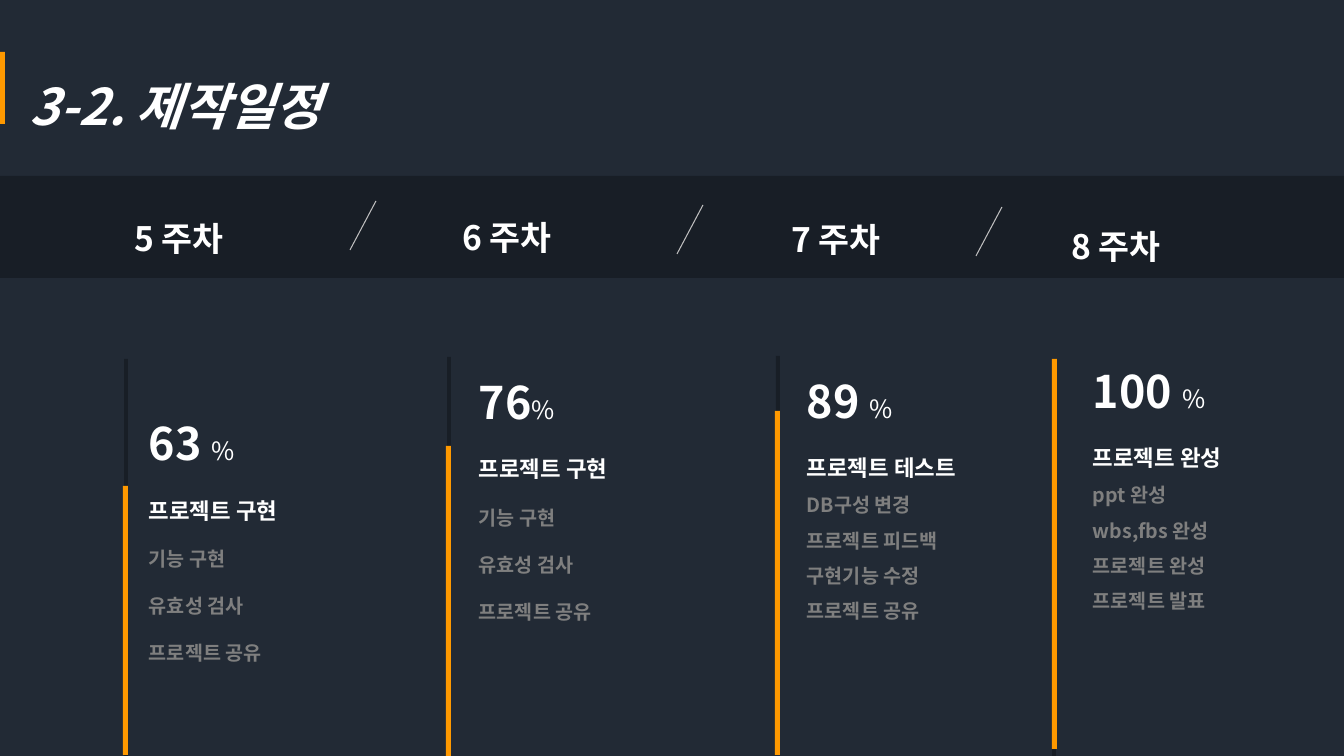
import pptx
import pptx.dml.color
import pptx.enum.shapes
import pptx.enum.text
import pptx.oxml
import pptx.oxml.ns
import pptx.util

PX = 914400 / 100.8
FONT = "Noto Sans CJK KR"
BACK, DARK, ORANGE = "222A35", "181E26", "FF9900"
WHITE, GRAY, SILVER = "FFFFFF", "7F7F7F", "BFBFBF"
TRACK_H, TRACK_W, BAR_W = 397, 4, 5
TEXT_W, TEXT_H, HEAD_H = 222, 154, 72
SLASH_DX, SLASH_DY = -26, 49

# Character formats
TITLE = {"size": 36, "bold": True, "italic": True, "color": WHITE}
HEAD = {"size": 24, "bold": True, "color": WHITE}
NUMBER = {"size": 32, "bold": True, "color": WHITE}
PERCENT = {"size": 18, "bold": False, "color": WHITE}
STAGE = {"size": 16, "bold": True, "color": WHITE}
TASK = {"size": 14, "bold": True, "color": GRAY}

# head: left, top, width; track: left, top; bar: left, top, height
WEEKS = [
    {"week": "5 주차", "head": (119, 193, 120), "track": (124, 359),
     "bar": (123, 486, 269), "text": (139, 411), "number": "63 ",
     "stage": "프로젝트 구현", "spacing": 2.0,
     "tasks": ["기능 구현", "유효성 검사", "프로젝트 공유"]},
    {"week": "6 주차", "head": (447, 192, 120), "track": (447, 357),
     "bar": (446, 446, 310), "text": (469, 370), "number": "76",
     "stage": "프로젝트 구현", "spacing": 2.0,
     "tasks": ["기능 구현", "유효성 검사", "프로젝트 공유"]},
    {"week": "7 주차", "head": (776, 194, 120), "track": (776, 356),
     "bar": (775, 411, 344), "text": (797, 369), "number": "89 ",
     "stage": "프로젝트 테스트", "spacing": 1.5,
     "tasks": ["DB구성 변경", "프로젝트 피드백", "구현기능 수정", "프로젝트 공유"]},
    {"week": "8 주차", "head": (1039, 201, 154), "track": (1052, 359),
     "bar": (1052, 359, 390), "text": (1083, 359), "number": "100 ",
     "stage": "프로젝트 완성", "spacing": 1.5,
     "tasks": ["ppt 완성", "wbs,fbs 완성", "프로젝트 완성", "프로젝트 발표"]},
]
SLASHES = [(376, 201), (703, 205), (1002, 207)]


def px(n):
    return pptx.util.Emu(round(n * PX))


def rgb(color):
    return pptx.dml.color.RGBColor.from_string(color)


def add_rect(s, x, y, w, h, color):
    sp = s.shapes.add_shape(pptx.enum.shapes.MSO_SHAPE.RECTANGLE,
                            px(x), px(y), px(w), px(h))
    sp.shadow.inherit = False
    sp.fill.solid()
    sp.fill.fore_color.rgb = rgb(color)
    sp.line.fill.background()


def add_slash(s, x, y):
    ln = s.shapes.add_connector(pptx.enum.shapes.MSO_CONNECTOR.STRAIGHT,
                                px(x), px(y), px(x + SLASH_DX), px(y + SLASH_DY))
    ln.line.color.rgb = rgb(SILVER)
    ln.line.width = pptx.util.Pt(0.75)
    ln._element.spPr.append(pptx.oxml.parse_xml(
        "<a:effectLst %s/>" % pptx.oxml.ns.nsdecls("a")))


def add_run(p, text, fmt):
    r = p.add_run()
    r.text = text
    values = dict(fmt, name=FONT, size=pptx.util.Pt(fmt["size"]))
    r.font.color.rgb = rgb(values.pop("color"))
    for key, value in values.items():
        setattr(r.font, key, value)
    # Hangul takes the East Asian typeface
    r._r.get_or_add_rPr().append(pptx.oxml.parse_xml(
        '<a:ea %s typeface="%s"/>' % (pptx.oxml.ns.nsdecls("a"), FONT)))


def add_text(s, x, y, w, h, paragraphs, align=None):
    """Each paragraph is (line spacing, [(text, format), ...])."""
    tf = s.shapes.add_textbox(px(x), px(y), px(w), px(h)).text_frame
    tf.word_wrap = True
    tf.auto_size = pptx.enum.text.MSO_AUTO_SIZE.SHAPE_TO_FIT_TEXT
    for i, (spacing, runs) in enumerate(paragraphs):
        p = tf.add_paragraph() if i else tf.paragraphs[0]
        p.line_spacing = spacing
        p.alignment = align
        for text, fmt in runs:
            add_run(p, text, fmt)


def add_week(s, week):
    # Progress track and bar
    add_rect(s, *week["track"], TRACK_W, TRACK_H, DARK)
    x, y, h = week["bar"]
    add_rect(s, x, y, BAR_W, h, ORANGE)

    # Week heading
    x, y, w = week["head"]
    add_text(s, x, y, w, HEAD_H, [(1.5, [(week["week"], HEAD)])],
             pptx.enum.text.PP_ALIGN.CENTER)

    # Percentage, stage and tasks
    paragraphs = [(1.0, [(week["number"], NUMBER), ("%", PERCENT)]),
                  (2.0, [(week["stage"], STAGE)])]
    paragraphs += [(week["spacing"], [(task, TASK)]) for task in week["tasks"]]
    add_text(s, *week["text"], TEXT_W, TEXT_H, paragraphs)


def main():
    prs = pptx.Presentation()
    prs.slide_width, prs.slide_height = px(1344), px(756)
    s = prs.slides.add_slide(prs.slide_layouts[6])
    s.background.fill.solid()
    s.background.fill.fore_color.rgb = rgb(BACK)

    # Title
    add_rect(s, 0, 52, 5, 72, ORANGE)
    add_text(s, 20, 40, 608, 194, [(1.5, [("3-2. 제작일정", TITLE)])])

    # Heading band
    add_rect(s, 0, 176, 1344, 102, DARK)
    for x, y in SLASHES:
        add_slash(s, x, y)

    # Weekly columns
    for week in WEEKS:
        add_week(s, week)

    prs.save("out.pptx")


if __name__ == "__main__":
    main()
